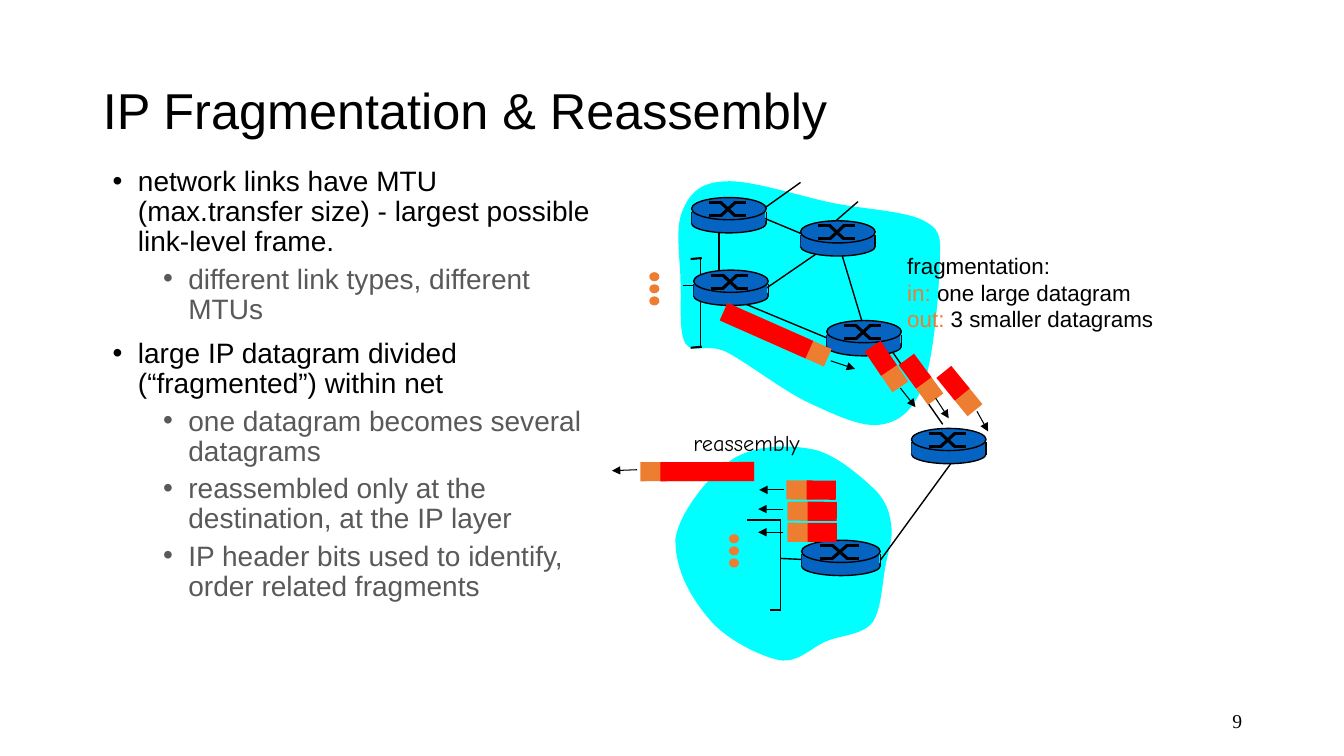
from math import cos, radians, sin

from lxml import etree
from pptx import Presentation
from pptx.dml.color import RGBColor
from pptx.enum.shapes import MSO_CONNECTOR, MSO_SHAPE
from pptx.enum.text import MSO_ANCHOR, MSO_AUTO_SIZE, PP_ALIGN
from pptx.oxml.ns import qn
from pptx.util import Cm, Pt

LINE = MSO_CONNECTOR.STRAIGHT
OVAL, RECT = MSO_SHAPE.OVAL, MSO_SHAPE.RECTANGLE
TOP, MID = MSO_ANCHOR.TOP, MSO_ANCHOR.MIDDLE
GROW = MSO_AUTO_SIZE.SHAPE_TO_FIT_TEXT
LEFT, RIGHT = PP_ALIGN.LEFT, PP_ALIGN.RIGHT
HUES = {"ink": "000000", "gray": "595959", "cloud": "00FFFF",
        "router": "0563C1", "head": "ED7D31", "data": "FF0000"}

POINTS = [
    (0, "network links have MTU (max.transfer size) - largest possible link-level frame."),
    (1, "different link types, different MTUs"),
    (0, "large IP datagram divided (“fragmented”) within net"),
    (1, "one datagram becomes several datagrams"),
    (1, "reassembled only at the destination, at the IP layer"),
    (1, "IP header bits used to identify, order related fragments"),
]
CLOUDS = [
    [(7.19, 1.8), (6.94, 1.81), (6.84, 1.92), (6.77, 2.09), (6.69, 2.26),
     (6.75, 2.59), (6.75, 2.81), (6.76, 3.03), (6.73, 3.3), (6.8, 3.41),
     (6.88, 3.52), (7, 3.4), (7.2, 3.49), (7.4, 3.59), (7.77, 3.88),
     (8.03, 4), (8.29, 4.12), (8.56, 4.25), (8.75, 4.21), (8.94, 4.18),
     (9.07, 4.05), (9.17, 3.79), (9.26, 3.53), (9.31, 2.92), (9.32, 2.66),
     (9.32, 2.39), (9.36, 2.3), (9.18, 2.2), (9, 2.09), (8.57, 2.08),
     (8.24, 2.01), (7.91, 1.94), (7.43, 1.78), (7.19, 1.8)],
    [(6.7, 5.34), (6.74, 5.08), (7.04, 4.71), (7.26, 4.56), (7.49, 4.41),
     (7.83, 4.41), (8.07, 4.46), (8.3, 4.51), (8.55, 4.74), (8.68, 4.86),
     (8.8, 4.99), (8.82, 5.08), (8.84, 5.21), (8.86, 5.34), (8.81, 5.46),
     (8.78, 5.63), (8.75, 5.79), (8.74, 6.06), (8.65, 6.18), (8.55, 6.3),
     (8.35, 6.3), (8.2, 6.36), (8.05, 6.42), (7.92, 6.58), (7.73, 6.55),
     (7.54, 6.51), (7.21, 6.35), (7.04, 6.15), (6.87, 5.95), (6.69, 5.67),
     (6.7, 5.34)],
]
TICKS = [(6.85, 2.57, 6.96, 2.56), (6.85, 3.45, 6.96, 3.44),
         (7.41, 5.16, 7.75, 5.16), (7.64, 6.05, 7.75, 6.05)]
LINKS = [(6.95, 2.56, 6.95, 3.44), (6.77, 2.83, 6.91, 2.83),
         (7.4, 2.09, 8.12, 2.39), (8.33, 2.46, 8.55, 3.19),
         (7.13, 2.21, 7.13, 2.85), (7.16, 2.92, 8.22, 3.36),
         (9.35, 4.21, 8.83, 3.46), (8.24, 2.42, 7.41, 2.99),
         (7.94, 1.81, 7.42, 2.18), (8.51, 2, 8.21, 2.26),
         (7.74, 5.16, 7.74, 6.05), (7.74, 5.54, 7.95, 5.55),
         (9.43, 4.6, 8.73, 5.56)]
DOTS = [(6.44, 2.7), (7.23, 5.3)]
ROUTERS = [(6.86, 1.96, 0.74), (6.88, 2.68, 0.74), (7.94, 2.19, 0.74),
           (8.2, 3.18, 0.74), (7.95, 5.36, 0.78), (9.04, 4.25, 0.74)]
MARKS = [(0.17, 0.05, 0.3, 0.05), (0.42, 0.18, 0.54, 0.18),
         (0.29, 0.05, 0.43, 0.18), (0.17, 0.18, 0.3, 0.18),
         (0.42, 0.05, 0.54, 0.05), (0.29, 0.18, 0.43, 0.05)]
WHOLE, PIECE = (1.13, 0.93), (0.25, 0.29)
PACKETS = [(8.21, 3.55, 23.9, WHOLE), (8.93, 3.84, 55.8, PIECE),
           (9.28, 3.96, 53.6, PIECE), (9.67, 4.07, 50.9, PIECE),
           (7.8, 4.86, 180.4, PIECE), (7.81, 5.07, 180.4, PIECE),
           (7.81, 5.28, 180.4, PIECE), (6.35, 4.68, 179.9, WHOLE)]
ARROWS = [(8.24, 3.58, 8.48, 3.66), (8.93, 3.85, 9.08, 4.04),
          (9.28, 3.95, 9.41, 4.15), (9.69, 4.08, 9.8, 4.28),
          (7.78, 4.86, 7.53, 4.86), (7.77, 5.05, 7.52, 5.05),
          (7.77, 5.28, 7.52, 5.28), (6.32, 4.66, 6.07, 4.67)]


def span(*sides):
    """Turn inches into lengths."""
    return [Cm(side * 2.54) for side in sides]


def tint(hue):
    """Look up a colour by name."""
    return RGBColor.from_string(HUES[hue])


def paint(shape, hue, edge=0):
    """Fill a shape and draw its edge, if it has one."""
    shape.shadow.inherit = False
    shape.fill.solid()
    shape.fill.fore_color.rgb = tint(hue)
    if edge:
        shape.line.color.rgb = tint("ink")
        shape.line.width = Pt(edge)
    else:
        shape.line.fill.background()


def add_form(shapes, kind, box, hue, edge=0, turn=0):
    """Add a preset shape."""
    shape = shapes.add_shape(kind, *span(*box))
    shape.rotation = turn
    paint(shape, hue, edge)


def add_line(shapes, ends, width=1, arrow=False):
    """Add a straight black line, with an arrowhead if asked."""
    line = shapes.add_connector(LINE, *span(*ends))
    line.line.color.rgb = tint("ink")
    line.line.width = Pt(width)
    if arrow:
        etree.SubElement(line.line._get_or_add_ln(), qn("a:tailEnd"), type="triangle")
    etree.SubElement(line._element.spPr, qn("a:effectLst"))


def add_cloud(shapes, knots):
    """Add a closed outline, each three segments joined into one cubic curve."""
    spots = [tuple(span(*knot)) for knot in knots]
    form = shapes.build_freeform(*spots[0])
    form.add_line_segments(spots[1:], close=True)
    cloud = form.convert_to_shape()
    paint(cloud, "cloud")
    legs = list(cloud._element.iter(qn("a:lnTo")))
    for i in range(0, len(legs), 3):
        curve = etree.Element(qn("a:cubicBezTo"))
        legs[i].addprevious(curve)
        for leg in legs[i:i + 3]:
            curve.append(leg[0])
            leg.getparent().remove(leg)


def add_dots(shapes, x, y):
    """Add three dots in a column."""
    group = shapes.add_group_shape().shapes
    for i in range(3):
        add_form(group, OVAL, (x, y + i * 0.12, 0.1, 0.09), "head")


def add_router(shapes, x, y, wide):
    """Add a router: a flat drum with crossed paths on its top."""
    group = shapes.add_group_shape().shapes
    add_form(group, OVAL, (x, y + 0.16, wide, 0.19), "router", 1)
    for side in (x, x + wide):
        add_line(group, (side, y + 0.14, side, y + 0.26))
    add_form(group, RECT, (x, y + 0.14, wide - 0.01, 0.12), "router")
    add_form(group, OVAL, (x, y, wide, 0.22), "router", 1)
    zoom = wide / 0.74
    for a, b, c, d in MARKS:
        add_line(group, (x + a * zoom, y + b, x + c * zoom, y + d), 2.25)


def add_packet(shapes, x, y, turn, sizes):
    """Add a packet whose head points at x, y."""
    group = shapes.add_group_shape().shapes
    head, data = sizes
    for size, back, hue in ((head, head / 2, "head"), (data, 0.2 + data / 2, "data")):
        left = x - back * cos(radians(turn)) - size / 2
        top = y - back * sin(radians(turn)) - 0.095
        add_form(group, RECT, (left, top, size, 0.19), hue, turn=turn)


def style(para, size, hue="ink", face="Arial"):
    """Format every run of a paragraph."""
    for run in para.runs:
        run.font.size = Pt(size)
        run.font.name = face
        run.font.color.rgb = tint(hue)


def add_text(shapes, box, text, size, face="Arial", align=LEFT, anchor=TOP):
    """Add a text box and return its frame."""
    frame = shapes.add_textbox(*span(*box)).text_frame
    frame.word_wrap = True
    frame.vertical_anchor = anchor
    frame.text = text
    for para in frame.paragraphs:
        para.alignment = align
        style(para, size, face=face)
    return frame


def set_title(title):
    """Place and format the slide title."""
    title.left, title.top, title.width, title.height = span(0.92, 0.4, 11.5, 1.45)
    title.text_frame.text = "IP Fragmentation & Reassembly"
    title.text_frame.vertical_anchor = MID
    para = title.text_frame.paragraphs[0]
    para.alignment = LEFT
    para.line_spacing = 0.9
    style(para, 36)


def add_points(shapes):
    """Add the bullet list."""
    text = "\n".join(words for _, words in POINTS)
    frame = add_text(shapes, (1.02, 1.61, 4.97, 5.49), text, 20)
    for i, (para, (level, _)) in enumerate(zip(frame.paragraphs, POINTS)):
        para.level = level
        para.line_spacing = 0.9
        para.space_before = Pt((5 if level else 10) if i else 0)
        props = para._p.get_or_add_pPr()
        props.set("marL", str(span(0.25 + level * 0.5)[0]))
        props.set("indent", str(span(-0.25)[0]))
        etree.SubElement(props, qn("a:buFont"), typeface="Arial")
        etree.SubElement(props, qn("a:buChar"), char="•")
        style(para, 20, "gray" if level else "ink")


def add_notes(shapes):
    """Add the labels of the drawing."""
    note = add_text(shapes, (8.9, 2.45, 2.77, 0.9), "fragmentation:\nin:\nout:", 16)
    for para, words in zip(note.paragraphs[1:], (" one large datagram", " 3 smaller datagrams")):
        para.add_run().text = words
        style(para, 16)
        para.runs[0].font.color.rgb = tint("head")
    label = add_text(shapes, (6.78, 4.21, 1.36, 0.37), "reassembly", 16, "Comic Neue")
    for frame in (note, label):
        frame.word_wrap = False
        frame.auto_size = GROW


def main():
    """Build the slide and save it."""
    deck = Presentation()
    deck.slide_width, deck.slide_height = span(13.33, 7.5)
    shapes = deck.slides.add_slide(deck.slide_layouts[5]).shapes
    set_title(shapes.title)
    add_points(shapes)
    add_text(shapes, (9.42, 6.95, 3, 0.4), "9", 14, "Times New Roman", RIGHT, MID)
    for knots in CLOUDS:
        add_cloud(shapes, knots)
    for ends in TICKS:
        add_line(shapes, ends, 1.5)
    for spot in DOTS:
        add_dots(shapes, *spot)
    for ends in LINKS:
        add_line(shapes, ends)
    for router in ROUTERS:
        add_router(shapes, *router)
    for packet in PACKETS:
        add_packet(shapes, *packet)
    for ends in ARROWS:
        add_line(shapes, ends, 0.75, True)
    add_notes(shapes)
    deck.save("out.pptx")


if __name__ == "__main__":
    main()
